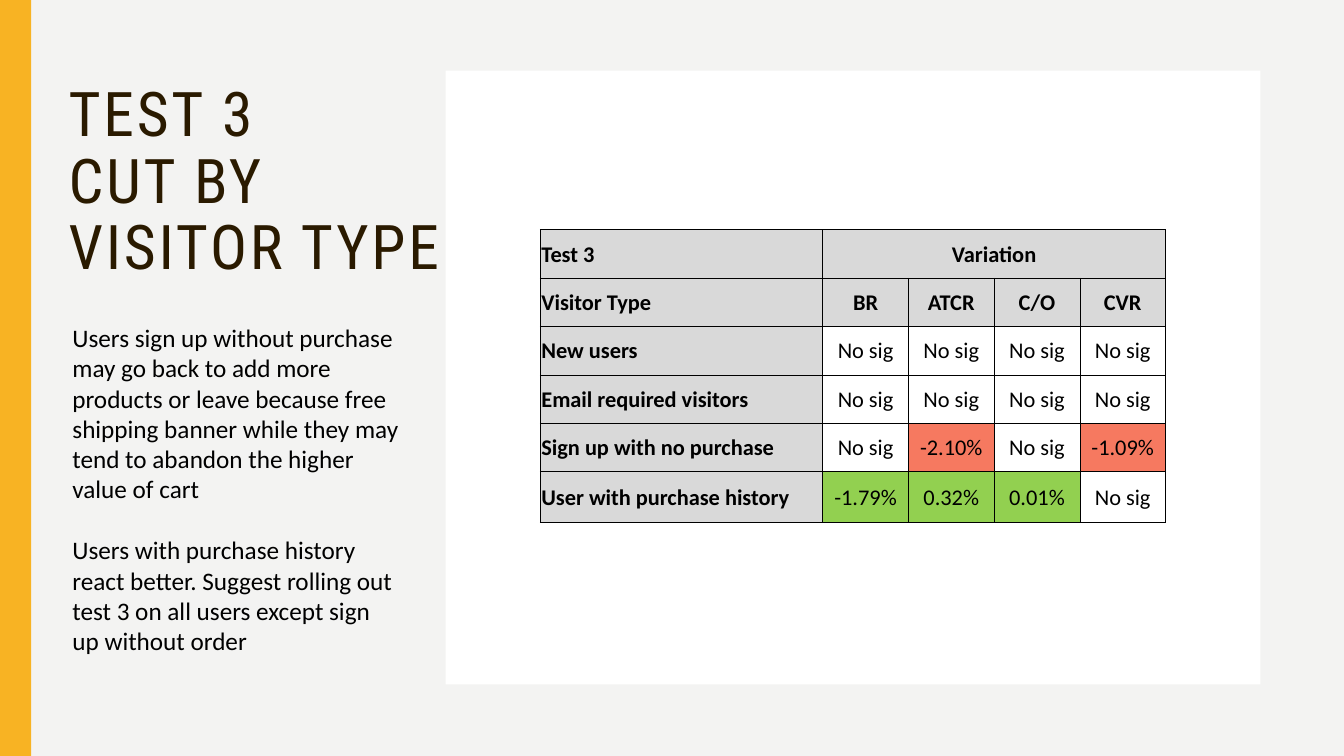
from dataclasses import dataclass

import pptx
import pptx.dml.color
import pptx.enum.shapes
import pptx.enum.text
import pptx.util
from lxml import etree
from pptx.oxml.ns import qn
from pptx.util import Inches, Pt

INK, TITLE_INK = "000000", "2A1A00"
PAPER, WHITE, GOLD = "F3F3F2", "FFFFFF", "F8B323"
GREY, RED, GREEN = "D9D9D9", "F67960", "92D050"
INNER_LINE, OUTER_LINE = 0.5, 1


@dataclass
class Panel:
    left: float
    top: float
    width: float
    height: float
    color: str


@dataclass
class Entry:
    text: str
    fill: str = WHITE


PANELS = [
    Panel(0, 0, 0.31, 7.5, GOLD),
    Panel(4.42, 0.7, 8.08, 6.09, WHITE),
]

NO_SIG = Entry("No sig")
HEADINGS = ["BR", "ATCR", "C/O", "CVR"]
RESULTS = {
    "New users": [NO_SIG] * 4,
    "Email required visitors": [NO_SIG] * 4,
    "Sign up with no purchase": [NO_SIG, Entry("-2.10%", RED), NO_SIG, Entry("-1.09%", RED)],
    "User with purchase history": [
        Entry("-1.79%", GREEN), Entry("0.32%", GREEN), Entry("0.01%", GREEN), NO_SIG],
}
GRID = [
    [Entry("Test 3", GREY), Entry("Variation", GREY)] + [Entry("", GREY)] * 3,
    [Entry(text, GREY) for text in ["Visitor Type", *HEADINGS]],
    *[[Entry(visitor, GREY), *entries] for visitor, entries in RESULTS.items()],
]
COLUMN_WIDTHS = [2.8] + [0.85] * 4
ROW_HEIGHTS = [0.48] * 5 + [0.5]

FINDINGS = [
    "Users sign up without purchase may go back to add more products or leave because "
    "free shipping banner while they may tend to abandon the higher value of cart",
    "Users with purchase history react better. Suggest rolling out test 3 on all users "
    "except sign up without order",
]


def rgb(color: str) -> pptx.dml.color.RGBColor:
    return pptx.dml.color.RGBColor.from_string(color)


def set_font(para, name: str, size: float, color: str, bold: bool = False) -> None:
    para.font.name = name
    para.font.size = Pt(size)
    para.font.bold = bold
    para.font.color.rgb = rgb(color)


def add_panel(page, panel: Panel) -> None:
    shape = page.shapes.add_shape(
        pptx.enum.shapes.MSO_SHAPE.RECTANGLE,
        Inches(panel.left), Inches(panel.top), Inches(panel.width), Inches(panel.height))
    shape.shadow.inherit = False
    shape.fill.solid()
    shape.fill.fore_color.rgb = rgb(panel.color)
    shape.line.fill.background()


def set_title(page) -> None:
    title = page.shapes.title
    title.left, title.top = Inches(0.58), Inches(0.36)
    title.width, title.height = Inches(4.52), Inches(2.92)
    frame = title.text_frame
    frame.text = "TEST 3\vCUT BY \vVISITOR TYPE"
    frame.word_wrap = True
    frame.auto_size = pptx.enum.text.MSO_AUTO_SIZE.NONE
    frame.vertical_anchor = pptx.enum.text.MSO_ANCHOR.MIDDLE
    para = frame.paragraphs[0]
    para.alignment = pptx.enum.text.PP_ALIGN.LEFT
    para.line_spacing = 0.9
    set_font(para, "Roboto Condensed", 44, TITLE_INK)
    # Letter spacing, in hundredths of a point
    para._p.get_or_add_pPr().get_or_add_defRPr().set("spc", "200")


def add_findings(page) -> None:
    box = page.shapes.add_textbox(Inches(0.62), Inches(3.15), Inches(3.44), Inches(3.43))
    frame = box.text_frame
    frame.word_wrap = True
    for index, finding in enumerate(FINDINGS):
        para = frame.add_paragraph() if index else frame.paragraphs[0]
        para.text = finding
        para.space_before = Pt(22 if index else 0)
        set_font(para, "Calibri", 18, INK)


def set_borders(cell, row: int, column: int) -> None:
    outer = {
        "lnL": column == 0,
        "lnR": column == len(COLUMN_WIDTHS) - 1,
        "lnT": row == 0,
        "lnB": row == len(ROW_HEIGHTS) - 1,
    }
    properties = cell._tc.get_or_add_tcPr()
    for side, is_outer in outer.items():
        width = Pt(OUTER_LINE if is_outer else INNER_LINE)
        line = etree.SubElement(properties, qn(f"a:{side}"), w=str(width))
        fill = etree.SubElement(line, qn("a:solidFill"))
        etree.SubElement(fill, qn("a:srgbClr"), val=INK)


def fill_cell(cell, entry: Entry, row: int, column: int) -> None:
    set_borders(cell, row, column)
    cell.fill.solid()
    cell.fill.fore_color.rgb = rgb(entry.fill)
    cell.margin_left = cell.margin_right = cell.margin_top = Inches(0.01)
    cell.margin_bottom = 0
    cell.vertical_anchor = pptx.enum.text.MSO_ANCHOR.MIDDLE
    para = cell.text_frame.paragraphs[0]
    para.text = entry.text
    align = pptx.enum.text.PP_ALIGN
    para.alignment = align.CENTER if column else align.LEFT
    set_font(para, "Calibri", 16, INK, bold=entry.fill == GREY)


def add_results(page) -> None:
    table = page.shapes.add_table(
        len(ROW_HEIGHTS), len(COLUMN_WIDTHS), Inches(5.36), Inches(2.28),
        Inches(sum(COLUMN_WIDTHS)), Inches(sum(ROW_HEIGHTS))).table
    table.first_row = table.horz_banding = False
    for column, width in zip(table.columns, COLUMN_WIDTHS):
        column.width = Inches(width)
    for row, height in zip(table.rows, ROW_HEIGHTS):
        row.height = Inches(height)
    for row, entries in enumerate(GRID):
        for column, entry in enumerate(entries):
            fill_cell(table.cell(row, column), entry, row, column)
    table.cell(0, 1).merge(table.cell(0, 4))


def main() -> None:
    deck = pptx.Presentation()
    deck.slide_width, deck.slide_height = Inches(13.33), Inches(7.5)
    page = deck.slides.add_slide(deck.slide_layouts[5])

    # Background and panels
    page.background.fill.solid()
    page.background.fill.fore_color.rgb = rgb(PAPER)
    for panel in PANELS:
        add_panel(page, panel)

    # Text column and results table
    set_title(page)
    add_findings(page)
    add_results(page)
    deck.save("out.pptx")


if __name__ == "__main__":
    main()
